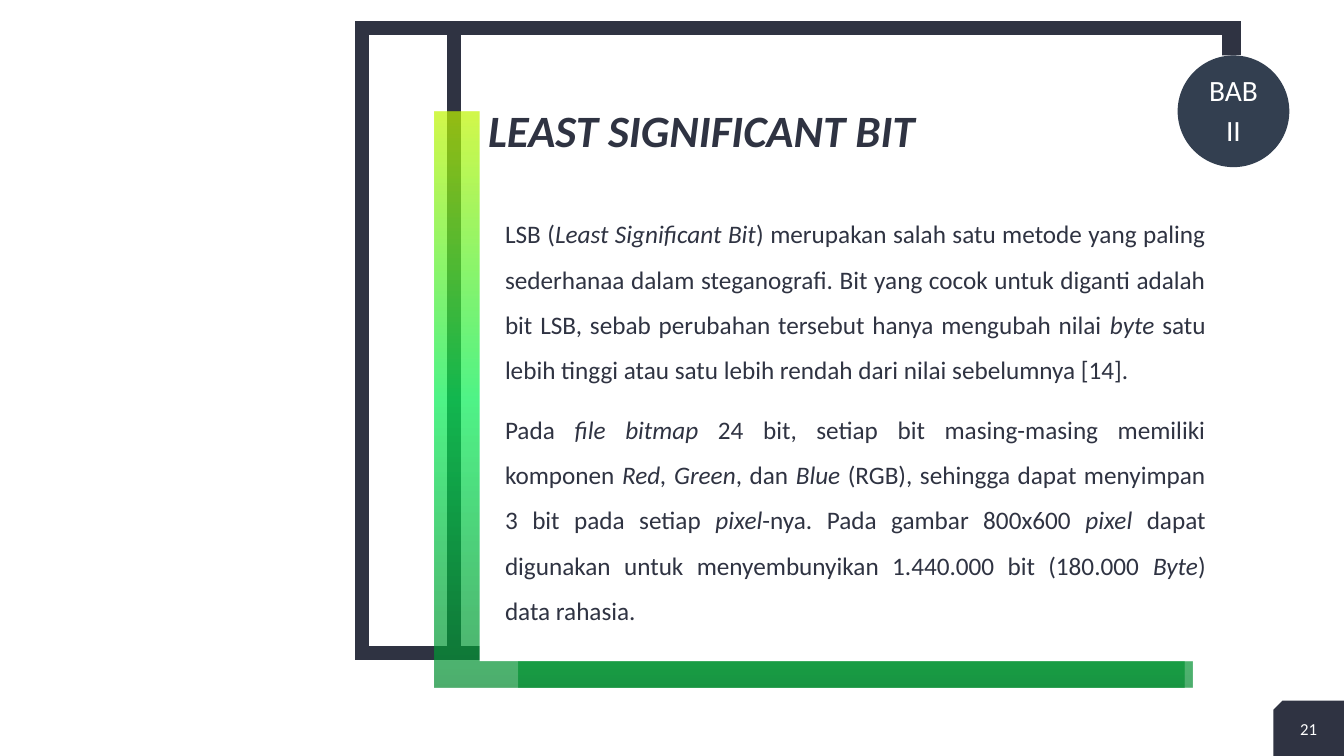
from typing import NamedTuple, Optional

from lxml import etree
from pptx import Presentation
from pptx import util as u
from pptx.dml import color
from pptx.enum import shapes, text
from pptx.oxml import ns

COLORS = {"ink": "2F3342", "badge": "333F50", "white": "FFFFFF",
          "forest": "038B30", "mint": "05EE55", "lime": "C0F400"}
WIDTH, HEIGHT = u.Inches(13.33), u.Inches(7.5)
COLS, ROWS = 160, 90
GRADIENT = [(0, "forest"), (50, "mint"), (100, "lime")]
OPACITY = 70


class Box(NamedTuple):
    """Place on the grid, in columns and rows."""
    col: float
    row: float
    cols: float
    rows: float


class Block(NamedTuple):
    """Look of one preset shape; without a fill colour it takes the gradient."""
    kind: shapes.MSO_SHAPE
    box: Box
    fill: Optional[str] = None
    flip: bool = False


class Layer(NamedTuple):
    """Column and width of the frame, gradient panel and white panel."""
    frame: tuple[float, float]
    gradient: tuple[float, float]
    panel: tuple[float, float]


LAYERS = [
    Layer((54, 92.9), (61.7, 80.3), (66.6, 85)),
    Layer((43.1, 103.2), (51.7, 89.3), (57.1, 94.5)),
]
PAGE_TAB = Block(shapes.MSO_SHAPE.SNIP_1_RECTANGLE,
                 Box(151.6, 83.4, 8.4, 6.6), "ink", True)
BADGE = Block(shapes.MSO_SHAPE.OVAL, Box(140.2, 6.6, 13.3, 13.3), "badge")

BODY = [
    "LSB (*Least Significant Bit*) merupakan salah satu metode yang paling "
    "sederhanaa dalam steganografi. Bit yang cocok untuk diganti adalah bit "
    "LSB, sebab perubahan tersebut hanya mengubah nilai *byte *satu lebih "
    "tinggi atau satu lebih rendah dari nilai sebelumnya [14].",
    "Pada *file bitmap* 24 bit, setiap bit masing-masing memiliki komponen "
    "*Red, Green*, dan *Blue* (RGB), sehingga dapat menyimpan 3 bit pada "
    "setiap *pixel*-nya. Pada gambar 800x600 *pixel* dapat digunakan untuk "
    "menyembunyikan 1.440.000 bit (180.000 *Byte*) data rahasia.",
]


def place(box: Box) -> tuple[int, int, int, int]:
    """Turn grid columns and rows into slide lengths."""
    return (int(box.col * WIDTH / COLS), int(box.row * HEIGHT / ROWS),
            int(box.cols * WIDTH / COLS), int(box.rows * HEIGHT / ROWS))


def rgb(name: str) -> color.RGBColor:
    """Look up a named colour."""
    return color.RGBColor.from_string(COLORS[name])


def fill_gradient(sp) -> None:
    """Fill a shape with the translucent gradient, rising from the bottom."""
    sp.fill.gradient()
    sp.fill.gradient_angle = 90
    stops = sp._element.spPr.find(".//" + ns.qn("a:gsLst"))
    for stop in list(stops):
        stops.remove(stop)
    for percent, name in GRADIENT:
        stop = etree.SubElement(stops, ns.qn("a:gs"), pos=str(percent * 1000))
        tint = etree.SubElement(stop, ns.qn("a:srgbClr"), val=COLORS[name])
        etree.SubElement(tint, ns.qn("a:alpha"), val=str(OPACITY * 1000))


def add_block(s, block: Block):
    """Draw a filled shape without outline."""
    sp = s.shapes.add_shape(block.kind, *place(block.box))
    sp.shadow.inherit = False
    sp.line.fill.background()
    if block.fill:
        sp.fill.solid()
        sp.fill.fore_color.rgb = rgb(block.fill)
    else:
        fill_gradient(sp)
    if block.flip:
        sp._element.spPr.find(ns.qn("a:xfrm")).set("flipH", "1")
    return sp


def add_frame(s, box: Box) -> None:
    """Draw a thick, sharp-cornered outline."""
    sp = s.shapes.add_shape(shapes.MSO_SHAPE.RECTANGLE, *place(box))
    sp.shadow.inherit = False
    sp.fill.background()
    sp.line.color.rgb = rgb("ink")
    sp.line.width = u.Pt(10)
    ln = sp._element.spPr.find(ns.qn("a:ln"))
    etree.SubElement(ln, ns.qn("a:miter"), lim="800000")


def add_layer(s, layer: Layer) -> None:
    """Draw one frame with its gradient panel and white panel."""
    rect = shapes.MSO_SHAPE.RECTANGLE
    (left, width), (g_left, g_width), (p_left, p_width) = layer
    add_frame(s, Box(left, 3.36, width, 74.4))
    add_block(s, Block(rect, Box(g_left, 13.3, g_width, 68.6)))
    add_block(s, Block(rect, Box(p_left, 6.6, p_width, 72.1), "white"))


def add_text(s, box: Box, lines: list[str], *, size: float, ink: str = "ink",
             align=text.PP_ALIGN.LEFT, anchor=text.MSO_ANCHOR.MIDDLE,
             bold: bool = False, spacing: float = 1, gap: float = 0,
             pad: float = 0.05) -> None:
    """Write paragraphs, with italics between asterisks."""
    tf = s.shapes.add_textbox(*place(box)).text_frame
    tf.word_wrap = True
    tf.vertical_anchor = anchor
    tf.margin_left = tf.margin_right = 0
    tf.margin_top = tf.margin_bottom = u.Inches(pad)
    for i, line in enumerate(lines):
        p = tf.add_paragraph() if i else tf.paragraphs[0]
        p.alignment = align
        p.line_spacing = spacing
        p.space_before = u.Pt(gap if i else 0)
        for j, part in enumerate(line.split("*")):
            if part:
                r = p.add_run()
                r.text = part
                r.font.name = "Calibri"
                r.font.size = u.Pt(size)
                r.font.bold = bold
                r.font.italic = j % 2 == 1
                r.font.color.rgb = rgb(ink)


def main() -> None:
    """Build the slide and save it."""
    prs = Presentation()
    prs.slide_width, prs.slide_height = WIDTH, HEIGHT
    s = prs.slides.add_slide(prs.slide_layouts[6])
    for layer in LAYERS:
        add_layer(s, layer)
    add_text(s, Box(58.1, 12, 80.6, 7.56), ["*LEAST SIGNIFICANT BIT*"],
             size=32, bold=True, spacing=0.9)
    add_text(s, Box(60.12, 23.64, 83.4, 50.9), BODY, size=18, spacing=1.5,
             gap=10, align=text.PP_ALIGN.JUSTIFY, anchor=text.MSO_ANCHOR.TOP)
    add_block(s, PAGE_TAB)
    add_text(s, Box(151.6, 84.1, 8.4, 5.4), ["21"], size=12, ink="white",
             align=text.PP_ALIGN.CENTER)
    add_block(s, BADGE)
    add_text(s, Box(142.1, 8.6, 9.5, 9.5), ["BAB", "II"], size=21,
             ink="white", align=text.PP_ALIGN.CENTER, spacing=0.9, gap=6,
             pad=0)
    prs.save("out.pptx")


if __name__ == "__main__":
    main()
